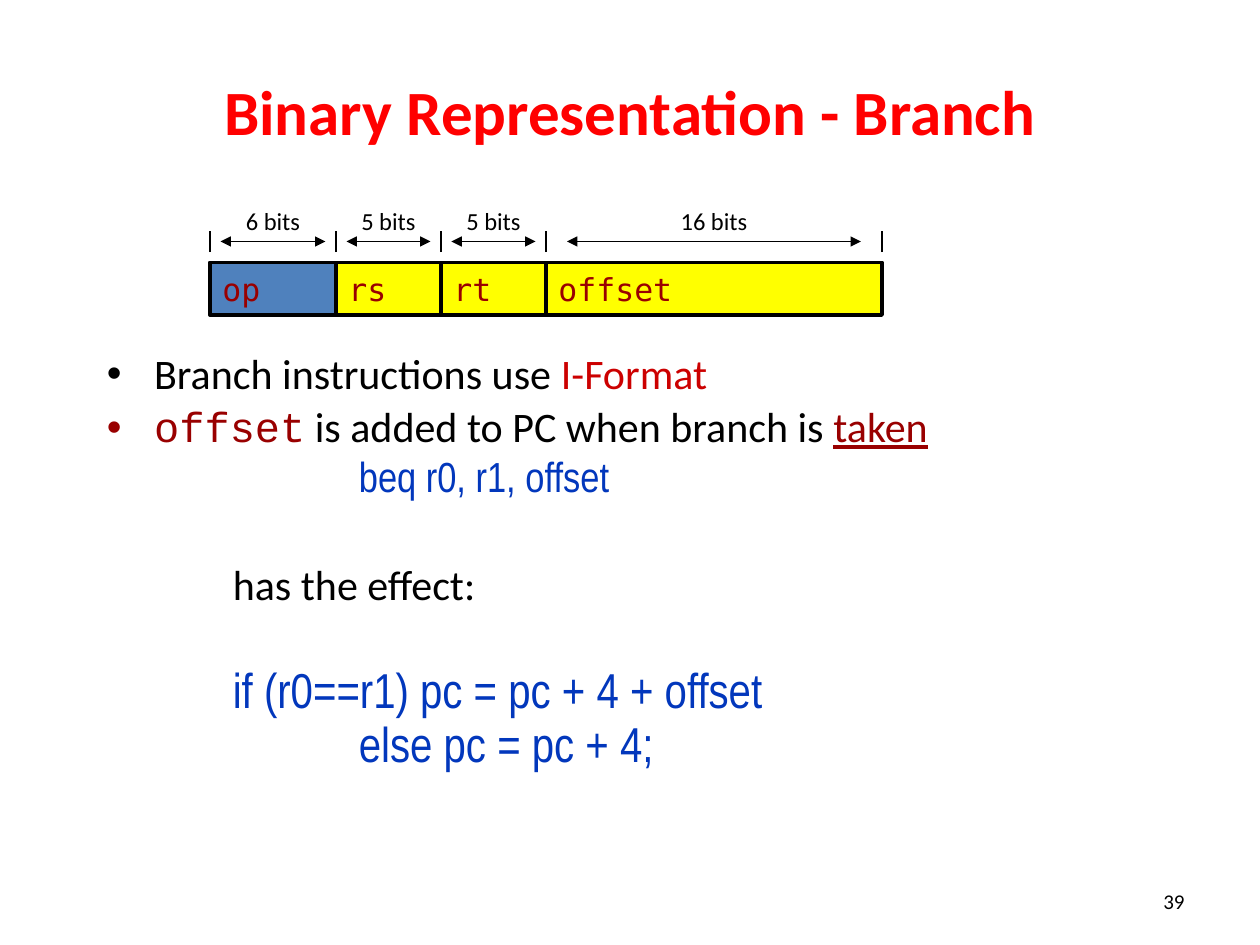
"""Build a slide on the binary form of branch instructions."""
from lxml.etree import SubElement
from pptx import Presentation
from pptx.dml.color import RGBColor
from pptx.enum.shapes import MSO_CONNECTOR, MSO_SHAPE
from pptx.enum.text import MSO_ANCHOR, PP_ALIGN
from pptx.oxml.ns import qn
from pptx.util import Pt

BLACK = RGBColor(0, 0, 0)
RED = RGBColor(0xFF, 0, 0)
BRICK = RGBColor(0xCC, 0, 0)
MAROON = RGBColor(0x99, 0, 0)
NAVY = RGBColor(0x02, 0x37, 0xBC)
BLUE = RGBColor(0x4F, 0x81, 0xBD)
YELLOW = RGBColor(0xFF, 0xFF, 0)
SANS, MONO, CODE, SLIM = "Calibri", "DejaVu Sans Mono", "Courier New", "Arial Narrow"


class Deck:
    def __init__(self, slide):
        self.slide = slide

    def style(self, font, size, face=SANS, color=BLACK):
        font.size, font.name = Pt(size), face
        font.color.rgb = color

    def frame(self, left, top, width, height, anchor=MSO_ANCHOR.TOP):
        box = self.slide.shapes.add_textbox(Pt(left), Pt(top), Pt(width), Pt(height))
        frame = box.text_frame
        frame.word_wrap = True
        frame.vertical_anchor = anchor
        return frame

    def label(self, text, area, size, align, color=BLACK, bold=False, anchor=MSO_ANCHOR.MIDDLE):
        frame = self.frame(*area, anchor)
        frame.text = text
        para = frame.paragraphs[0]
        para.alignment = align
        font = para.runs[0].font
        self.style(font, size, color=color)
        font.bold = bold

    def field(self, text, left, top, width, height, fill):
        box = self.slide.shapes.add_shape(
            MSO_SHAPE.RECTANGLE, Pt(left), Pt(top), Pt(width), Pt(height))
        box.shadow.inherit = False
        box.fill.solid()
        box.fill.fore_color.rgb = fill
        box.line.color.rgb = BLACK
        box.line.width = Pt(2.25)
        frame = box.text_frame
        frame.text = text
        frame.vertical_anchor = MSO_ANCHOR.MIDDLE
        para = frame.paragraphs[0]
        para.alignment = PP_ALIGN.LEFT
        self.style(para.runs[0].font, 18, MONO, MAROON)

    def line(self, x1, y1, x2, y2, heads=False):
        line = self.slide.shapes.add_connector(
            MSO_CONNECTOR.STRAIGHT, Pt(x1), Pt(y1), Pt(x2), Pt(y2))
        line.line.color.rgb = BLACK
        line.line.width = Pt(1)
        props = line._element.spPr
        if heads:
            for end in ("a:headEnd", "a:tailEnd"):
                SubElement(props.find(qn("a:ln")), qn(end), type="triangle")
        SubElement(props, qn("a:effectLst"))

    def para(self, para, runs, size, left, before, bullet):
        para.line_spacing = 0.9
        para.space_before = Pt(before)
        props = para._p.get_or_add_pPr()
        props.set("marL", str(Pt(left)))
        props.set("indent", str(Pt(-left if bullet else 0)))
        if bullet:
            SubElement(props, qn("a:buFont"), typeface="Arial")
            SubElement(props, qn("a:buChar"), char="•")
        for text, face, color, under in runs:
            run = para.add_run()
            run.text = text
            self.style(run.font, size, face, color)
            run.font.underline = under

    def body(self, area, items):
        frame = self.frame(*area)
        for i, item in enumerate(items):
            self.para(frame.add_paragraph() if i else frame.paragraphs[0], *item)


def main():
    prs = Presentation()
    prs.slide_width, prs.slide_height = Pt(720), Pt(540)
    deck = Deck(prs.slides.add_slide(prs.slide_layouts[6]))

    deck.label("39", (516, 500.4, 168, 28.8), 12, PP_ALIGN.RIGHT)
    deck.label("Binary Representation - Branch", (54, 18, 612, 90), 36,
               PP_ALIGN.CENTER, RED, True)
    deck.body((54, 198, 612, 265), [
        ([("Branch instructions use ", SANS, BLACK, False),
          ("I-Format", SANS, BRICK, False)], 24, 27, 0, True),
        ([("offset", CODE, MAROON, False),
          (" is added to PC when branch is ", SANS, BLACK, False),
          ("taken", SANS, MAROON, True)], 24, 27, 4.8, True),
        ([("beq r0, r1, offset", SLIM, NAVY, False)], 24, 144, 2.4, False),
        ([("has the effect:", SANS, BLACK, False)], 24, 72, 36, False),
        ([("if (r0==r1) pc = pc + 4 + offset", SLIM, NAVY, False)], 28, 72, 32, False),
        ([("else pc = pc + 4;", SLIM, NAVY, False)], 28, 144, 1, False),
    ])

    left = 120
    deck.line(left, 144, left, 132)
    for name, bits, width, fill, gap in (
            ("op", 6, 72, BLUE, 6), ("rs", 5, 60, YELLOW, 6),
            ("rt", 5, 60, YELLOW, 6), ("offset", 16, 192, YELLOW, 12)):
        right = left + width
        deck.field(name, left, 150, width, 30, fill)
        deck.line(right, 144, right, 132)
        deck.line(left + gap, 138, right - gap, 138, True)
        deck.label(f"{bits} bits", ((left + right) / 2 - 27, 114, 54, 24), 14,
                   PP_ALIGN.CENTER, anchor=MSO_ANCHOR.TOP)
        left = right

    prs.save("out.pptx")


if __name__ == "__main__":
    main()
